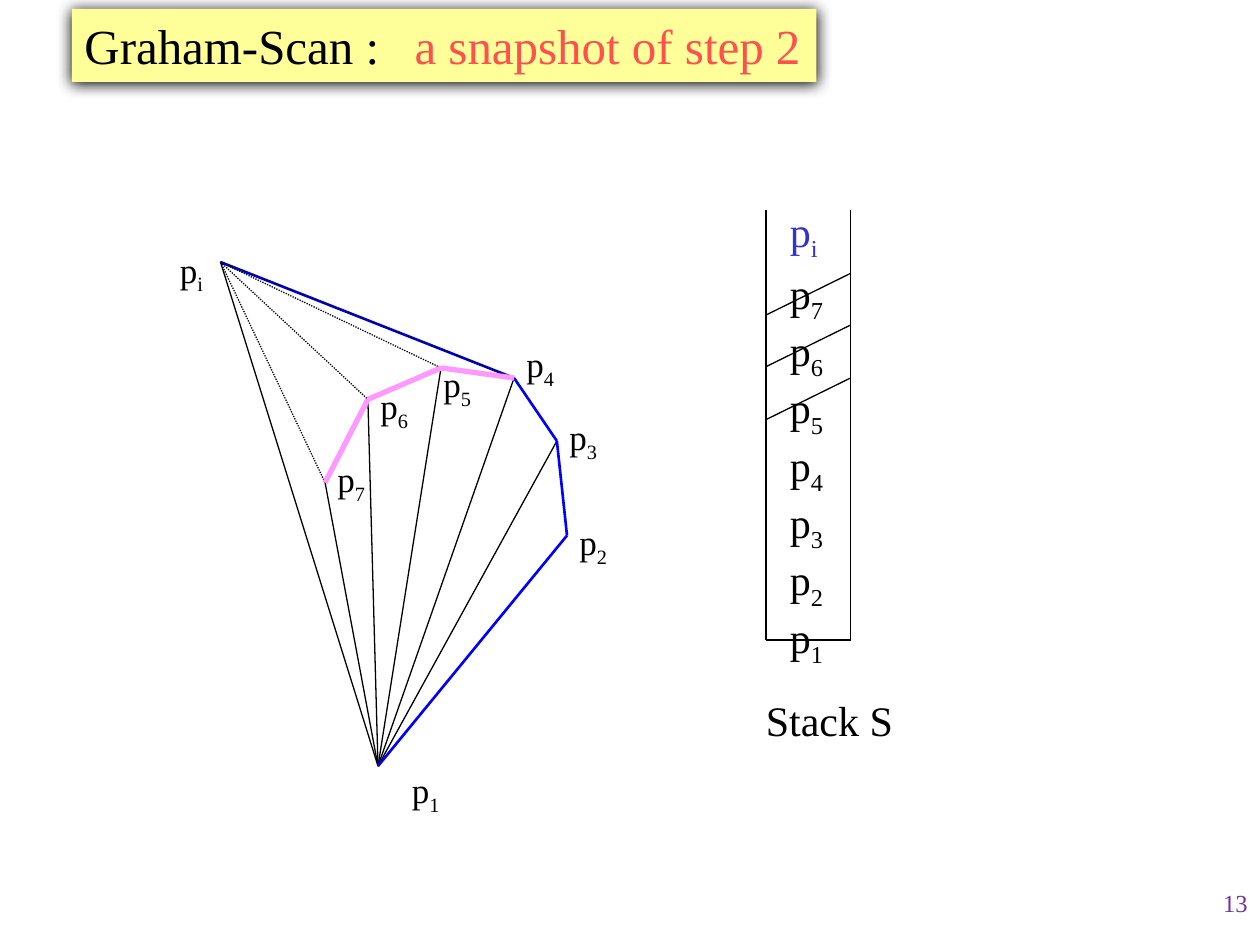
from lxml import etree
from pptx import Presentation
from pptx.dml.color import RGBColor
from pptx.enum.dml import MSO_LINE
from pptx.enum.shapes import MSO_CONNECTOR
from pptx.enum.text import MSO_ANCHOR, MSO_AUTO_SIZE, PP_ALIGN
from pptx.oxml import parse_xml
from pptx.oxml.ns import nsdecls, qn
from pptx.util import Inches, Pt

STRAIGHT = MSO_CONNECTOR.STRAIGHT
DOTTED = MSO_LINE.ROUND_DOT
TOP = MSO_ANCHOR.TOP
LEFT = PP_ALIGN.LEFT
RIGHT = PP_ALIGN.RIGHT
NO_AUTOFIT = MSO_AUTO_SIZE.NONE

FONT = "Times New Roman"
BLACK = RGBColor(0x00, 0x00, 0x00)
YELLOW = RGBColor(0xFF, 0xFF, 0x99)
RED = RGBColor(0xFF, 0x50, 0x50)
HULL_BLUE = RGBColor(0x00, 0x00, 0xFF)
INDIGO = RGBColor(0x33, 0x33, 0xCC)
PINK = RGBColor(0xFF, 0x99, 0xFF)
PURPLE = RGBColor(0x70, 0x30, 0xA0)

POINTS = {
    "1": (3, 6.08), "2": (4.5, 4.25), "3": (4.42, 3.5), "4": (4.08, 3),
    "5": (3.5, 2.92), "6": (2.92, 3.17), "7": (2.58, 3.83), "i": (1.75, 2.08),
}
LABELS = {
    "1": (3.17, 6.05), "2": (4.5, 4.08), "3": (4.42, 3.25), "4": (4.08, 2.67),
    "5": (3.42, 2.83), "6": (2.92, 3), "7": (2.58, 3.58), "i": (1.33, 1.92),
}
STACK_LEFT, STACK_RIGHT, STACK_TOP, STACK_BOTTOM = 6.08, 6.75, 1.67, 5.08


def add_span(para, text, size, color, subscript=False):
    """Add one formatted run to a paragraph."""
    span = para.add_run()
    span.text = text
    span.font.size = Pt(size)
    span.font.name = FONT
    span.font.color.rgb = color
    if subscript:
        span.font._element.set("baseline", "-25000")


def add_box(page, left, top, width, height):
    """Add a wrapped text box and return its text frame."""
    box = page.shapes.add_textbox(
        Inches(left), Inches(top), Inches(width), Inches(height))
    box.text_frame.word_wrap = True
    return box.text_frame


def add_point_names(page, names, left, top, size, color=BLACK):
    """Add a box with one subscripted point name a paragraph."""
    frame = add_box(page, left, top, 0.55, 0.45 * len(names))
    for index, name in enumerate(names):
        para = frame.add_paragraph() if index else frame.paragraphs[0]
        add_span(para, "p", size, color)
        add_span(para, name, size, color, subscript=True)


def add_line(page, start, end, color=BLACK, width=0.75, dash=None):
    """Draw a straight line without a shadow."""
    line = page.shapes.add_connector(
        STRAIGHT, *(Inches(value) for value in (*start, *end)))
    line.line.color.rgb = color
    line.line.width = Pt(width)
    if dash:
        line.line.dash_style = dash
    etree.SubElement(line._element.spPr, qn("a:effectLst"))


def add_edges(page, names, color=BLACK, width=0.75, dash=None):
    """Join each named point to the next one."""
    for first, second in zip(names, names[1:]):
        add_line(page, POINTS[first], POINTS[second], color, width, dash)


def add_title(page):
    """Format the title placeholder as a yellow bar with a shadow."""
    title = page.shapes.title
    title.left, title.top = Inches(0.57), Inches(0.07)
    title.width, title.height = Inches(5.91), Inches(0.58)
    title.fill.solid()
    title.fill.fore_color.rgb = YELLOW
    title._element.spPr.append(parse_xml(
        f'<a:effectLst {nsdecls("a")}><a:outerShdw blurRad="107950" '
        'dist="12700" dir="5400000" algn="ctr" rotWithShape="0">'
        '<a:srgbClr val="000000"/></a:outerShdw></a:effectLst>'))
    frame = title.text_frame
    frame.auto_size = NO_AUTOFIT
    frame.vertical_anchor = TOP
    frame.margin_right = Inches(0.05)
    para = frame.paragraphs[0]
    para.alignment = LEFT
    tabs = etree.SubElement(para._p.get_or_add_pPr(), qn("a:tabLst"))
    etree.SubElement(tabs, qn("a:tab"), pos=str(Inches(2.62)), algn="l")
    add_span(para, "Graham-Scan :\t", 28, BLACK)
    add_span(para, "a snapshot of step 2", 28, RED)


def add_hull(page):
    """Draw the fan of sorted points, the hull and the popped chain."""
    for name in "i34567":
        add_edges(page, "1" + name)
    add_edges(page, "i4321", HULL_BLUE, 1.5)
    for name in "4567":
        add_edges(page, "i" + name, dash=DOTTED)
    add_edges(page, "4567", PINK, 3)
    for name, (left, top) in LABELS.items():
        add_point_names(page, name, left, top, 20)


def add_stack(page):
    """Draw the stack with its entries, strikes and caption."""
    for side in (STACK_LEFT, STACK_RIGHT):
        add_line(page, (side, STACK_TOP), (side, STACK_BOTTOM))
    add_line(page, (STACK_LEFT, STACK_BOTTOM), (STACK_RIGHT, STACK_BOTTOM))
    add_point_names(page, "7654321", 6.17, 2.07, 24)
    for top in (2.17, 2.58, 3):
        add_line(page, (STACK_LEFT, top + 0.33), (STACK_RIGHT, top))
    add_point_names(page, "i", 6.17, 1.58, 24, INDIGO)
    caption = add_box(page, 5.98, 5.46, 1.25, 0.5)
    add_span(caption.paragraphs[0], "Stack S", 24, BLACK)


def add_page_number(page):
    """Add the page number at the lower right."""
    frame = add_box(page, 7.92, 7, 2.08, 0.5)
    para = frame.paragraphs[0]
    para.alignment = RIGHT
    add_span(para, "13", 14, PURPLE)


def main():
    """Build and save the deck."""
    deck = Presentation()
    deck.slide_width, deck.slide_height = Inches(10), Inches(7.5)
    page = deck.slides.add_slide(deck.slide_layouts[5])
    add_title(page)
    add_hull(page)
    add_stack(page)
    add_page_number(page)
    deck.save("out.pptx")


if __name__ == "__main__":
    main()
